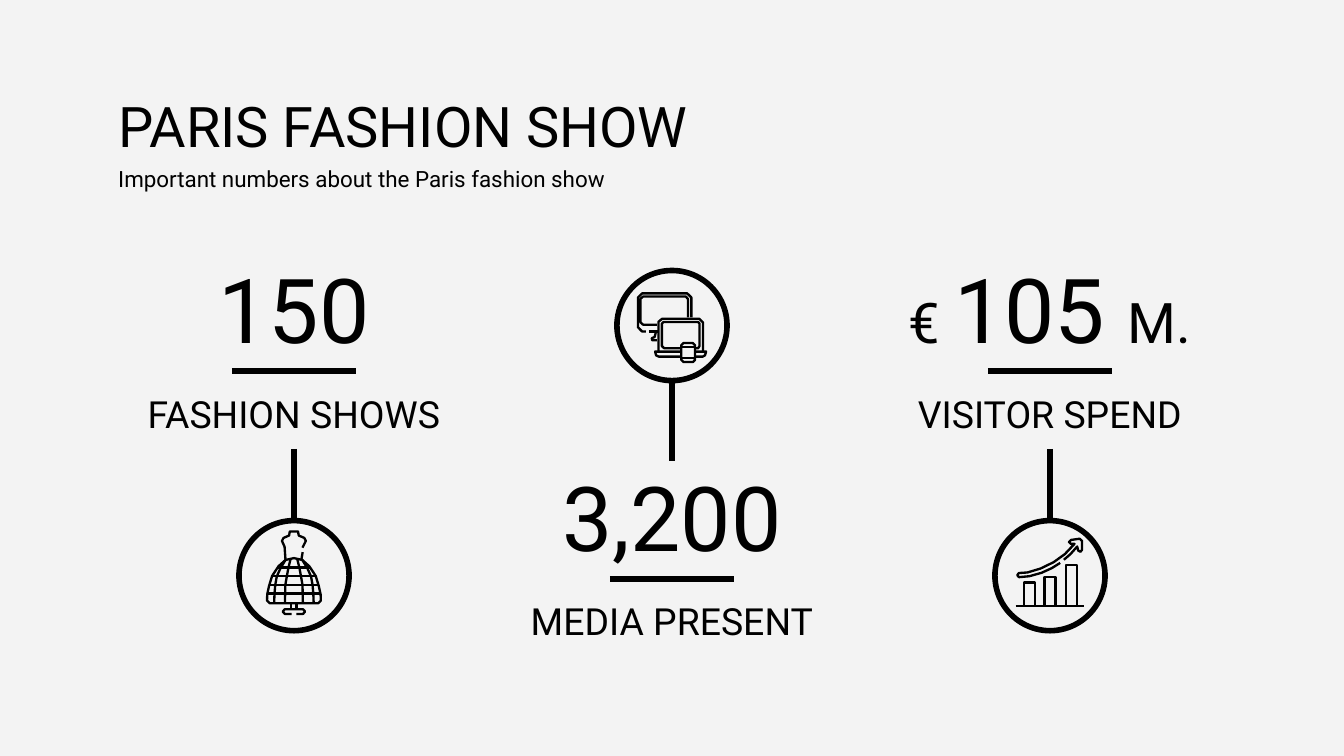
from lxml import etree
from pptx import Presentation
from pptx.dml.color import RGBColor
from pptx.enum.shapes import MSO_CONNECTOR as Connector
from pptx.enum.shapes import MSO_SHAPE as Shape
from pptx.enum.text import MSO_ANCHOR as Anchor
from pptx.enum.text import PP_ALIGN as Align
from pptx.oxml.ns import qn
from pptx.util import Pt

COLORS = {"ink": "000000", "ground": "F3F3F3"}
FONT = "Roboto"
LEFT, COLUMN = 56.25, 202.5
NUMBER_HEIGHT, LABEL_HEIGHT, LABEL_DROP = 58.5, 37.5, 67.5
CIRCLE, RULE, RULE_DROP = 59, 66.5, 63.25

# Icon strokes, as points measured from the centre of the circle
RIGHT_SKIRT = [(4.5, -8.4), (8.3, -5), (11.7, 0.2), (13.3, 5.5),
               (14.3, 10), (14.4, 13.4), (13, 14.8)]
RIBS = [
    [(1.8, -8.8), (3, -4), (3.8, 0.5), (4.6, 5), (4.8, 14.8)],
    [(4.5, -8.4), (7.2, -4), (9.2, 0.5), (10, 5), (10.4, 9.5), (10.6, 14.8)],
    [(1.4, 14.8), (1.4, 18)],
]
HOOPS = [(8.5, -4.4), (11.7, 0.2), (13.2, 5), (14.2, 9.5)]


def mirror(points):
    return [(-x, y) for x, y in points]


DRESS = [
    # Skirt, hoops, ribs and post
    [(0, -9.4)] + RIGHT_SKIRT + mirror(RIGHT_SKIRT)[::-1] + [(0, -9.4)],
    *[[(-x, y), (x, y)] for x, y in HOOPS],
    *RIBS, *[mirror(rib) for rib in RIBS],
    # Bodice
    [(-4.5, -8.4), (-5, -15.5), (-6.4, -18.6), (-5.6, -20.2), (-2.6, -21.5),
     (-2.2, -23.7), (2.2, -23.7), (2.6, -21.5), (5.6, -20.2), (6.4, -18.6),
     (4.6, -15)],
    [(4.7, -12.6), (4, -8.6)],
    # Foot
    [(-1.3, 20.5), (-4.9, 20.5), (-6, 19.25), (-4.9, 18), (4.9, 18),
     (6, 19.25), (4.9, 20.5), (1.3, 20.5)],
]
DEVICES = [
    # Monitor
    [(-14, 3.2), (-16, 3.2), (-18.2, 1), (-18.2, -15), (-16, -17.2),
     (8.2, -17.2), (10.4, -15), (10.4, -4.3)],
    [(-8, -0.4), (-15.4, -0.4), (-16.9, -1.7), (-16.9, -14.3), (-15.4, -15.5),
     (7.4, -15.5), (8.6, -14.2), (8.6, -4.3)],
    [(-12.3, 3.2), (-7.5, 3.2)],
    [(-8.5, 3.2), (-9.3, 6.2), (-10.8, 6.8), (-10.6, 7.9), (-8, 7.9)],
    # Laptop
    [(-7.2, 14), (-7.2, -2), (-5.2, -3.6), (14.6, -3.6), (16.6, -1.6),
     (16.6, 14)],
    [(4.5, 12.2), (-4.2, 12.2), (-5.4, 11), (-5.4, -1), (-4.5, -1.9),
     (14, -1.9), (14.8, -1), (14.8, 11), (14, 12.2), (13, 12.2)],
    [(5, 14), (-9, 14), (-8.5, 16), (-7, 16.7), (5, 16.7)],
    [(12.4, 14), (18.3, 14), (17.7, 16), (16.5, 16.7), (12.4, 16.7)],
    # Phone
    [(6.2, 9.4), (11.2, 9.4), (12.4, 10.6), (12.4, 18.4), (11.2, 19.6),
     (6.2, 19.6), (5, 18.4), (5, 10.6), (6.2, 9.4)],
    [(5, 11.5), (12.4, 11.5)],
    [(5, 17.5), (12.4, 17.5)],
]
BAR_SIDES = [(-13.9, -8.1, 3.6), (-3, 3, 0.7), (8.5, 14.5, -5.8)]
BARS = [
    [(-18.4, 16.4), (18.4, 16.4)],
    *[[(left, 16.4), (left, top), (right, top), (right, 16.4)]
      for left, right, top in BAR_SIDES],
]
ARROW = [
    [(5.5, -6.8), (1, -4), (-4.5, -1.5), (-11, 0.3), (-16.6, 0.8),
     (-17.5, -0.3), (-16.6, -1.4), (-12, -1.7), (-5, -3.8), (2, -7.2),
     (8, -11.5), (13.2, -17), (11.3, -17), (10.2, -18), (11.3, -19.1),
     (16, -19.8), (17.2, -18.6), (17.2, -13.8), (16.4, -12.8), (15.2, -13.4),
     (14.6, -15.6), (11, -11.5), (7.5, -8.5)],
]

# Centre x, number spans, label, icon parts, top of number, top of circle
FIGURES = [
    (157.5, [("150", 48)], "FASHION SHOWS", [DRESS], 135.5, 278.9),
    (360, [("3,200", 48)], "MEDIA PRESENT", [DEVICES], 246.9, 144.9),
    (562.5, [("€ ", 30), ("105 ", 48), ("M.", 30)], "VISITOR SPEND",
     [BARS, ARROW], 135.5, 278.9),
]


def color(name):
    return RGBColor.from_string(COLORS[name])


def add_text(page, spans, left, top, width, height, align=Align.LEFT,
             anchor=Anchor.TOP):
    box = page.shapes.add_textbox(Pt(left), Pt(top), Pt(width), Pt(height))
    frame = box.text_frame
    frame.word_wrap = True
    frame.vertical_anchor = anchor
    frame.margin_left = frame.margin_right = Pt(7.2)
    frame.margin_top = frame.margin_bottom = Pt(7.2)
    para = frame.paragraphs[0]
    para.alignment = align
    for text, size in spans:
        span = para.add_run()
        span.text = text
        span.font.name = FONT
        span.font.size = Pt(size)
        span.font.color.rgb = color("ink")
    return box


def set_line(shape, weight):
    shape.line.color.rgb = color("ink")
    shape.line.width = Pt(weight)


def add_line(page, start, end):
    line = page.shapes.add_connector(
        Connector.STRAIGHT, *[Pt(value) for value in (*start, *end)])
    set_line(line, 3)
    etree.SubElement(line._element.spPr, qn("a:effectLst"))
    return line


def add_circle(page, center, top):
    circle = page.shapes.add_shape(
        Shape.OVAL, Pt(center - CIRCLE / 2), Pt(top), Pt(CIRCLE), Pt(CIRCLE))
    circle.shadow.inherit = False
    circle.fill.background()
    set_line(circle, 3)
    return circle


def add_icon_part(page, strokes, center, middle):
    """Draw all strokes as the contours of one freeform."""
    builder = None
    for stroke in strokes:
        first, *rest = [(Pt(center + x), Pt(middle + y)) for x, y in stroke]
        if builder is None:
            builder = page.shapes.build_freeform(*first)
        else:
            builder.move_to(*first)
        builder.add_line_segments(rest, close=first == rest[-1])
    outline = builder.convert_to_shape()
    outline.shadow.inherit = False
    outline.fill.background()
    set_line(outline, 1.25)


def add_figure(page, center, spans, label, icon, top, circle_top):
    left = center - COLUMN / 2
    number_box = add_text(page, spans, left, top, COLUMN, NUMBER_HEIGHT,
                          align=Align.CENTER, anchor=Anchor.MIDDLE)
    label_box = add_text(page, [(label, 20)], left, top + LABEL_DROP, COLUMN,
                         LABEL_HEIGHT, align=Align.CENTER, anchor=Anchor.BOTTOM)
    rule = top + RULE_DROP
    add_line(page, (center - RULE / 2, rule), (center + RULE / 2, rule))

    # Stem between the text and its circle
    circle = add_circle(page, center, circle_top)
    if circle_top > top:
        label_bottom = top + LABEL_DROP + LABEL_HEIGHT
        stem = add_line(page, (center, label_bottom), (center, circle_top))
        stem.begin_connect(label_box, 2)
        stem.end_connect(circle, 0)
    else:
        stem = add_line(page, (center, circle_top + CIRCLE), (center, top))
        stem.end_connect(number_box, 0)
    for part in icon:
        add_icon_part(page, part, center, circle_top + CIRCLE / 2)


def main():
    deck = Presentation()
    deck.slide_width, deck.slide_height = Pt(720), Pt(405)
    page = deck.slides.add_slide(deck.slide_layouts[6])
    page.background.fill.solid()
    page.background.fill.fore_color.rgb = color("ground")

    # Heading
    add_text(page, [("PARIS FASHION SHOW", 30)], LEFT, 41.75, 607.5, 45)
    add_text(page, [("Important numbers about the Paris fashion show", 12)],
             LEFT, 81.5, 607.5, 23)

    # Key figures
    for figure in FIGURES:
        add_figure(page, *figure)
    deck.save("out.pptx")


if __name__ == "__main__":
    main()
